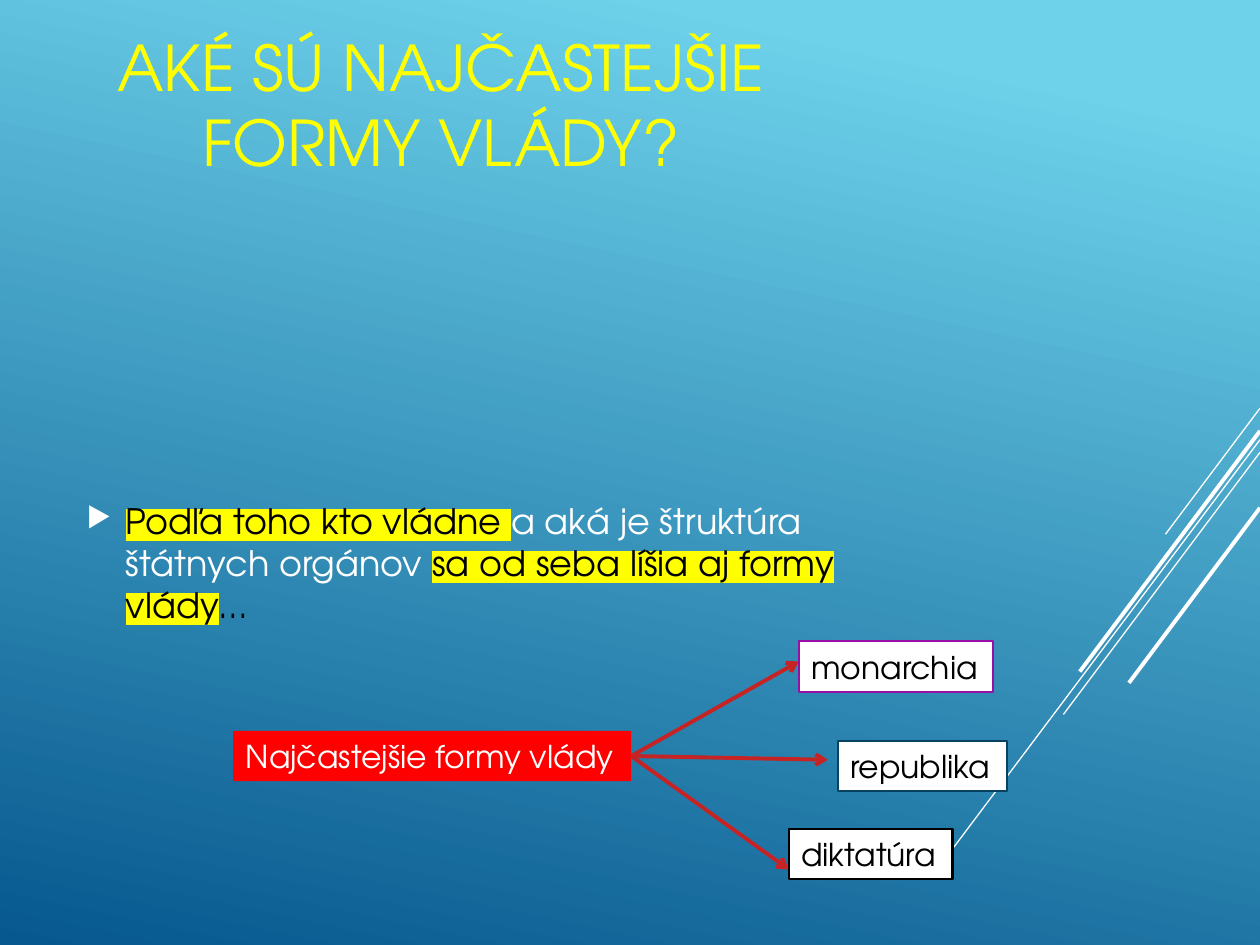
from lxml.etree import SubElement
from pptx import Presentation
from pptx.dml.color import RGBColor
from pptx.enum.shapes import MSO_CONNECTOR, MSO_SHAPE
from pptx.enum.text import MSO_ANCHOR, MSO_AUTO_SIZE, PP_ALIGN
from pptx.oxml.ns import qn
from pptx.util import Inches, Pt

FONT = "TeX Gyre Adventor"
COLORS = {
    "sky": "6ED2EB", "deep": "06588E", "white": "FFFFFF", "black": "000000",
    "yellow": "FFFF00", "red": "FF0000", "arrow": "C62324",
    "purple": "990EA5", "navy": "054361",
}
COLUMNS, ROWS = 100, 75


def color(name):
    return RGBColor.from_string(COLORS[name])


class SlideBuilder:
    """Places elements on a grid of 100 columns by 75 rows."""

    def __init__(self, presentation):
        self.column = presentation.slide_width / COLUMNS
        self.row = presentation.slide_height / ROWS
        self.slide = presentation.slides.add_slide(presentation.slide_layouts[6])

    def grid(self, *lengths):
        """Turn alternating column and row counts into slide lengths."""
        return [round(length * (self.row if index % 2 else self.column))
                for index, length in enumerate(lengths)]

    def background(self, start, end, angle):
        fill = self.slide.background.fill
        fill.gradient()
        fill.gradient_angle = angle
        for stop, name, position in zip(fill.gradient_stops, (start, end), (0.1, 1)):
            stop.color.rgb = color(name)
            stop.position = position

    def line(self, start, end, name, width, arrow=False):
        connector = self.slide.shapes.add_connector(
            MSO_CONNECTOR.STRAIGHT, *self.grid(*start, *end))
        connector.line.color.rgb = color(name)
        connector.line.width = Pt(width)
        if arrow:
            SubElement(connector.line._get_or_add_ln(), qn("a:tailEnd"), type="arrow")
        SubElement(connector._element.spPr, qn("a:effectLst"))

    def style(self, paragraph, size, name):
        paragraph.font.name = FONT
        paragraph.font.size = Pt(size)
        paragraph.font.color.rgb = color(name)

    def text_box(self, box):
        frame = self.slide.shapes.add_textbox(*self.grid(*box)).text_frame
        frame.word_wrap = True
        frame.vertical_anchor = MSO_ANCHOR.MIDDLE
        return frame.paragraphs[0]

    def title(self, box, text):
        paragraph = self.text_box(box)
        paragraph.text = text
        paragraph.alignment = PP_ALIGN.CENTER
        self.style(paragraph, 36, "yellow")

    def bullet(self, box, parts):
        """Each part is a text, its colour and its highlight, or None."""
        paragraph = self.text_box(box)
        paragraph.space_after = Pt(6)
        properties = paragraph._p.get_or_add_pPr()
        indent = Inches(0.31)
        properties.set("marL", str(indent))
        properties.set("indent", str(-indent))
        bullet_color = SubElement(properties, qn("a:buClr"))
        SubElement(bullet_color, qn("a:srgbClr"), val=COLORS["white"])
        SubElement(properties, qn("a:buSzPct"), val="80000")
        SubElement(properties, qn("a:buChar"), char="▶")
        self.style(paragraph, 20, "white")
        for text, name, highlight in parts:
            run = paragraph.add_run()
            run.text = text
            run.font.color.rgb = color(name)
            if highlight:
                marker = SubElement(run.font._element, qn("a:highlight"))
                SubElement(marker, qn("a:srgbClr"), val=COLORS[highlight])

    def label(self, box, text, fill, text_color, outline=None):
        shape = self.slide.shapes.add_shape(MSO_SHAPE.RECTANGLE, *self.grid(*box))
        shape.shadow.inherit = False
        shape.fill.solid()
        shape.fill.fore_color.rgb = color(fill)
        if outline:
            shape.line.color.rgb = color(outline)
            shape.line.width = Pt(1.25)
        else:
            shape.line.fill.background()
        frame = shape.text_frame
        frame.word_wrap = False
        frame.auto_size = MSO_AUTO_SIZE.SHAPE_TO_FIT_TEXT
        frame.vertical_anchor = MSO_ANCHOR.TOP
        paragraph = frame.paragraphs[0]
        paragraph.text = text
        paragraph.alignment = PP_ALIGN.LEFT
        self.style(paragraph, 18, text_color)


def main():
    presentation = Presentation()
    presentation.slide_width = Inches(10)
    presentation.slide_height = Inches(7.5)
    builder = SlideBuilder(presentation)
    builder.background("sky", "deep", 258)

    stripes = [
        (32.4, (92.5, 42.4), 0.75),
        (34.9, (75.5, 67.5), 0.75),
        (35.9, (84.4, 56.7), 0.75),
        (34.2, (85.7, 53.3), 2.25),
        (40.3, (89.6, 54.2), 2.25),
    ]
    for edge_row, end, width in stripes:
        builder.line((COLUMNS, edge_row), end, "white", width)

    builder.title((0, 0, 70, 16.5), "AKÉ SÚ NAJČASTEJŠIE FORMY VLÁDY?")
    builder.bullet((5.9, 24.9, 70, 39.5), [
        ("Podľa toho kto vládne ", "black", "yellow"),
        ("a aká je štruktúra štátnych orgánov ", "white", None),
        ("sa od seba líšia aj formy vlády", "black", "yellow"),
        ("...", "black", None),
    ])

    label_height = 4
    builder.label((18.5, 58, 31.6, label_height), "Najčastejšie formy vlády",
                  "red", "white")
    forms = [
        ("monarchia", (63.4, 50.9), 15.4, "purple", (63.4, 52.5)),
        ("republika", (66.5, 58.8), 13.4, "navy", (65.7, 60.3)),
        ("diktatúra", (62.6, 65.8), 13, "black", (62.6, 69)),
    ]
    for text, corner, width, outline, arrow_tip in forms:
        builder.line((50.1, 60), arrow_tip, "arrow", 2.25, arrow=True)
        builder.label((*corner, width, label_height), text, "white", "black", outline)

    presentation.save("out.pptx")


if __name__ == "__main__":
    main()
